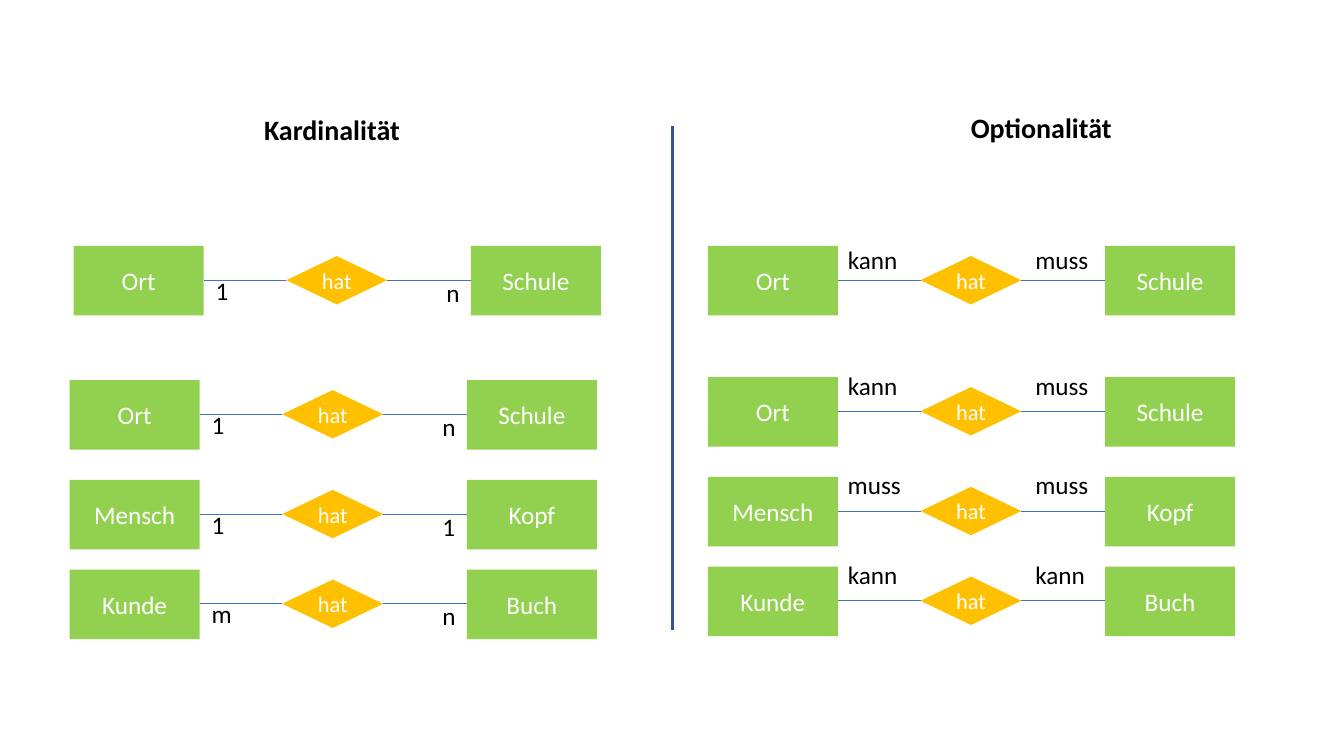
from pptx import Presentation
from pptx.dml.color import RGBColor
from pptx.enum.shapes import MSO_CONNECTOR, MSO_SHAPE
from pptx.enum.text import MSO_ANCHOR, MSO_AUTO_SIZE, PP_ALIGN
from pptx.oxml.ns import qn
from pptx.util import Pt
from lxml.etree import SubElement

EMU_PER_PX = 9144  # 100 px to the inch
COLORS = {"entity": "92D050", "relation": "FFC000", "link": "4472C4",
          "divider": "325490", "dark": "000000", "light": "FFFFFF"}
LABEL_WIDTHS = {"1": 32, "n": 33, "m": 40, "kann": 69, "muss": 73}

# Offsets inside one relationship row
ENTITY_WIDTH, ENTITY_HEIGHT = 129, 69
RELATION_WIDTH, RELATION_HEIGHT = 100, 48
RELATION_LEFT, RELATION_TOP = 211, 10
SECOND_LEFT, LINK_TOP = 394, 34
LABEL_HEIGHT = 40


def px(*lengths):
    return [length * EMU_PER_PX for length in lengths]


def write_text(shape, text, size=18, color="dark", bold=False, align=PP_ALIGN.LEFT):
    paragraph = shape.text_frame.paragraphs[0]
    paragraph.alignment = align
    run = paragraph.add_run()
    run.text = text
    run.font.name = "Calibri"
    run.font.size = Pt(size)
    run.font.bold = bold
    run.font.color.rgb = RGBColor.from_string(COLORS[color])


class DiagramSlide:
    def __init__(self, presentation):
        self.slide = presentation.slides.add_slide(presentation.slide_layouts[6])

    def node(self, kind, left, top, width, height, text, fill, size=18):
        shape = self.slide.shapes.add_shape(kind, *px(left, top, width, height))
        shape.shadow.inherit = False
        shape.fill.solid()
        shape.fill.fore_color.rgb = RGBColor.from_string(COLORS[fill])
        shape.line.fill.background()
        shape.text_frame.vertical_anchor = MSO_ANCHOR.MIDDLE
        shape.text_frame.word_wrap = True
        write_text(shape, text, size=size, color="light", align=PP_ALIGN.CENTER)

    def label(self, left, top, width, height, text, **text_format):
        shape = self.slide.shapes.add_textbox(*px(left, top, width, height))
        shape.text_frame.word_wrap = False
        shape.text_frame.auto_size = MSO_AUTO_SIZE.SHAPE_TO_FIT_TEXT
        write_text(shape, text, **text_format)

    def line(self, start_x, start_y, end_x, end_y, color, weight):
        connector = self.slide.shapes.add_connector(
            MSO_CONNECTOR.STRAIGHT, *px(start_x, start_y, end_x, end_y))
        connector.line.color.rgb = RGBColor.from_string(COLORS[color])
        connector.line.width = Pt(weight)
        SubElement(connector._element.spPr, qn("a:effectLst"))

    def relationship(self, left, top, entities, labels, label_offsets):
        middle = top + LINK_TOP
        relation_left = left + RELATION_LEFT
        second_left = left + SECOND_LEFT
        for entity, entity_left in zip(entities, (left, second_left)):
            self.node(MSO_SHAPE.RECTANGLE, entity_left, top,
                      ENTITY_WIDTH, ENTITY_HEIGHT, entity, "entity")
        self.node(MSO_SHAPE.DIAMOND, relation_left, top + RELATION_TOP,
                  RELATION_WIDTH, RELATION_HEIGHT, "hat", "relation", size=16)
        self.line(relation_left, middle, left + ENTITY_WIDTH, middle, "link", 0.75)
        self.line(relation_left + RELATION_WIDTH, middle, second_left, middle, "link", 0.75)
        for label, (offset_x, offset_y) in zip(labels, label_offsets):
            self.label(left + offset_x, top + offset_y,
                       LABEL_WIDTHS[label], LABEL_HEIGHT, label)


def main():
    presentation = Presentation()
    presentation.slide_width, presentation.slide_height = px(1333, 750)
    diagram = DiagramSlide(presentation)

    # Divider and headings
    diagram.line(667, 125, 667, 625, "divider", 1.5)
    diagram.label(252, 107, 158, 43, "Kardinalität", size=20, bold=True)
    diagram.label(953, 105, 162, 43, "Optionalität", size=20, bold=True)

    # Entities, then left, top and labels for cardinality, then top, labels
    # and label offset for optionality
    rows = [
        (("Ort", "Schule"), (73, 244, "1n"), (244, ("kann", "muss"), -7)),
        (("Ort", "Schule"), (69, 377, "1n"), (374, ("kann", "muss"), -12)),
        (("Mensch", "Kopf"), (69, 476, "11"), (473, ("muss", "muss"), -12)),
        (("Kunde", "Buch"), (69, 565, "mn"), (562, ("kann", "kann"), -12)),
    ]
    for entities, (left, top, counts), (option_top, options, rise) in rows:
        diagram.relationship(left, top, entities, counts, ((131, 24), (360, 26)))
        diagram.relationship(702, option_top, entities, options,
                             ((129, rise), (315, rise)))

    presentation.save("out.pptx")


if __name__ == "__main__":
    main()
